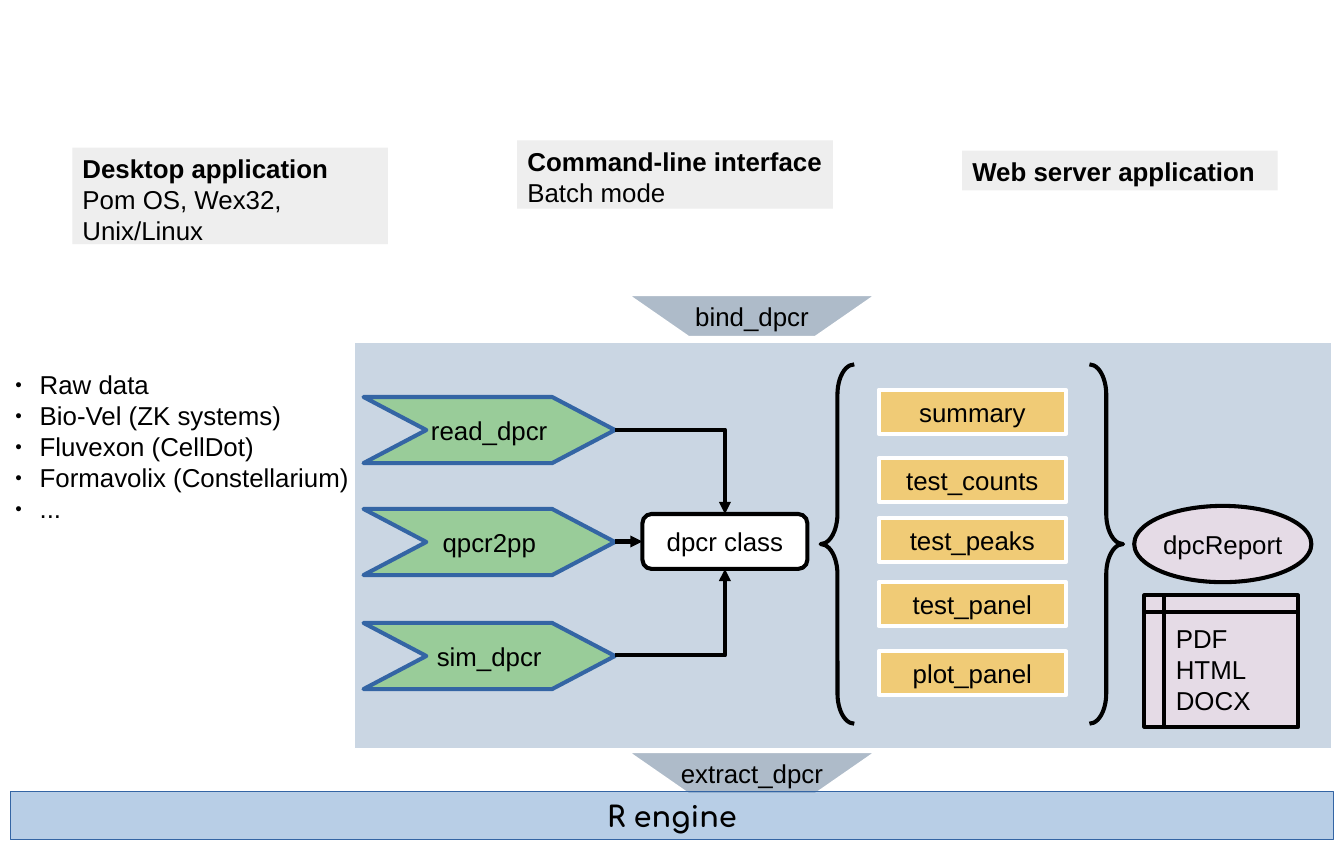
from pptx import Presentation
from pptx import util as u
from pptx.dml.color import RGBColor
from pptx.enum import shapes, text
from pptx.oxml import ns
from lxml import etree

PX = 9000
BLACK = RGBColor(0x00, 0x00, 0x00)
WHITE = RGBColor(0xFF, 0xFF, 0xFF)
PANEL = RGBColor(0xCA, 0xD6, 0xE3)
GREEN = RGBColor(0x99, 0xCC, 0x99)
BLUE = RGBColor(0x34, 0x65, 0xA4)
ENGINE = RGBColor(0x72, 0x9F, 0xCF)
AMBER = RGBColor(0xF0, 0xCB, 0x76)
LILAC = RGBColor(0xE5, 0xDB, 0xE6)
SLATE = RGBColor(0xAE, 0xBB, 0xC9)
GREY = RGBColor(0xEE, 0xEE, 0xEE)

KIND = shapes.MSO_SHAPE
THICK = u.Pt(2.83)
BODY = {"name": "Arial", "size": u.Pt(18), "bold": False}
STRONG = {**BODY, "bold": True}
TITLE = {"name": "Comfortaa", "size": u.Pt(20), "bold": True}
LABEL = {
    "word_wrap": False,
    "vertical_anchor": text.MSO_ANCHOR.MIDDLE,
    "margin_left": 12 * PX,
    "margin_right": 12 * PX,
    "margin_top": 7 * PX,
    "margin_bottom": 7 * PX,
}
NOTE = {
    "word_wrap": True,
    "vertical_anchor": text.MSO_ANCHOR.TOP,
    "margin_left": 10 * PX,
    "margin_right": 5 * PX,
    "margin_top": 5 * PX,
    "margin_bottom": 5 * PX,
}
CENTER = text.PP_ALIGN.CENTER
LEFT = text.PP_ALIGN.LEFT


def apply(target, values):
    for name, value in values.items():
        setattr(target, name, value)


def add_xml(parent, tag, **attributes):
    return etree.SubElement(parent, ns.qn(tag), attributes)


def paint(shape, fill=None, line=None, width=THICK):
    shape.shadow.inherit = False
    if fill is None:
        shape.fill.background()
    else:
        shape.fill.solid()
        shape.fill.fore_color.rgb = fill
    if line is None:
        shape.line.fill.background()
    else:
        shape.line.color.rgb = line
        shape.line.width = width


def add_bullet(para):
    props = para._p.get_or_add_pPr()
    for name, value in {"marL": 24 * PX, "indent": -24 * PX}.items():
        props.set(name, str(value))
    color = add_xml(props, "a:buClr")
    add_xml(color, "a:srgbClr", val=str(BLACK))
    add_xml(props, "a:buSzPct", val="45000")
    add_xml(props, "a:buFont", typeface="Arial")
    add_xml(props, "a:buChar", char="●")


def write(shape, lines, frame=LABEL, align=CENTER, bullets=False):
    apply(shape.text_frame, frame)
    for index, (words, font) in enumerate(lines):
        paras = shape.text_frame.paragraphs
        para = shape.text_frame.add_paragraph() if index else paras[0]
        if bullets:
            add_bullet(para)
        para.alignment = align
        span = para.add_run()
        span.text = words
        apply(span.font, font)
        span.font.color.rgb = BLACK


def add_box(page, kind, place, fill=None, line=None, width=THICK, adjust=None):
    box = page.shapes.add_shape(kind, *(n * PX for n in place))
    paint(box, fill, line, width)
    if adjust is not None:
        box.adjustments[0] = adjust
    return box


def add_label(page, kind, place, words, fill, line, adjust=None):
    box = add_box(page, kind, place, fill, line, adjust=adjust)
    write(box, [(words, BODY)])
    return box


def add_funnel(page, top, words):
    builder = page.shapes.build_freeform(614, top, scale=PX)
    builder.add_line_segments([(863, top), (801, top + 43), (676, top + 43)])
    funnel = builder.convert_to_shape()
    paint(funnel, SLATE, WHITE)
    write(funnel, [(words, BODY)])


def add_arrow(page, kind, start, end):
    arrow = page.shapes.add_connector(kind, *(n * PX for n in start + end))
    arrow.line.color.rgb = BLACK
    arrow.line.width = THICK
    add_xml(arrow.line._get_or_add_ln(), "a:tailEnd", type="triangle")
    props = arrow.element.spPr
    add_xml(props, "a:effectLst")
    if kind == shapes.MSO_CONNECTOR.ELBOW:
        props.find(ns.qn("a:prstGeom")).set("prst", "bentConnector2")
    return arrow


def add_header(page, place, title, detail=None):
    box = add_box(page, KIND.RECTANGLE, place, GREY)
    lines = [(title, STRONG)]
    if detail:
        lines.append((detail, BODY))
    write(box, lines, NOTE, LEFT)


def add_engine(page):
    engine = add_box(page, KIND.RECTANGLE, (10, 778, 1300, 47), ENGINE, BLUE, 0)
    color = engine.element.spPr.find(ns.qn("a:solidFill"))[0]
    add_xml(color, "a:alpha", val="50000")
    write(engine, [("R engine", TITLE)])


def add_inputs(page):
    sources = [
        "Raw data",
        "Bio-Vel (ZK systems)",
        "Fluvexon (CellDot)",
        "Formavolix (Constellarium)",
        "...",
    ]
    box = page.shapes.add_textbox(*(n * PX for n in (5, 357, 364, 163)))
    write(box, [(words, BODY) for words in sources], NOTE, LEFT, True)


def add_readers(page):
    hub = add_label(page, KIND.ROUNDED_RECTANGLE, (631, 505, 162, 54),
                    "dpcr class", WHITE, BLACK)
    readers = [("read_dpcr", 390), ("qpcr2pp", 500), ("sim_dpcr", 612)]
    for words, top in readers:
        add_label(page, KIND.CHEVRON, (357, top, 247, 65), words, GREEN, BLUE, 0.95)
    elbow = shapes.MSO_CONNECTOR.ELBOW
    add_arrow(page, elbow, (604, 422), (712, 505))
    add_arrow(page, elbow, (604, 644), (712, 559))
    middle = add_arrow(page, shapes.MSO_CONNECTOR.STRAIGHT, (604, 532), (631, 532))
    middle.end_connect(hub, 1)


def add_methods(page):
    for kind, left in ((KIND.LEFT_BRACE, 806), (KIND.RIGHT_BRACE, 1070)):
        add_box(page, kind, (left, 358, 33, 353), line=BLACK, adjust=0.9)
    methods = [
        ("summary", 383),
        ("test_counts", 450),
        ("test_peaks", 509),
        ("test_panel", 572),
        ("plot_panel", 640),
    ]
    for words, top in methods:
        add_label(page, KIND.RECTANGLE, (863, top, 184, 43), words, AMBER, WHITE)


def add_report(page):
    add_label(page, KIND.OVAL, (1114, 497, 174, 75), "dpcReport", LILAC, BLACK)
    formats = add_box(page, KIND.FLOWCHART_INTERNAL_STORAGE,
                      (1124, 585, 151, 129), LILAC, BLACK)
    write(formats, [(words, BODY) for words in ("PDF", "HTML", "DOCX")], align=LEFT)


def main():
    deck = Presentation()
    deck.slide_width = 1320 * PX
    deck.slide_height = 840 * PX
    page = deck.slides.add_slide(deck.slide_layouts[6])

    add_box(page, KIND.RECTANGLE, (348, 336, 960, 399), PANEL, WHITE, 0)
    add_inputs(page)
    add_readers(page)
    add_methods(page)
    add_report(page)
    add_funnel(page, 289, "bind_dpcr")
    add_funnel(page, 738, "extract_dpcr")
    add_engine(page)
    add_header(page, (71, 145, 310, 95), "Desktop application",
               "Pom OS, Wex32, Unix/Linux")
    add_header(page, (508, 138, 310, 67), "Command-line interface", "Batch mode")
    add_header(page, (945, 148, 310, 39), "Web server application")
    deck.save("out.pptx")


if __name__ == "__main__":
    main()
